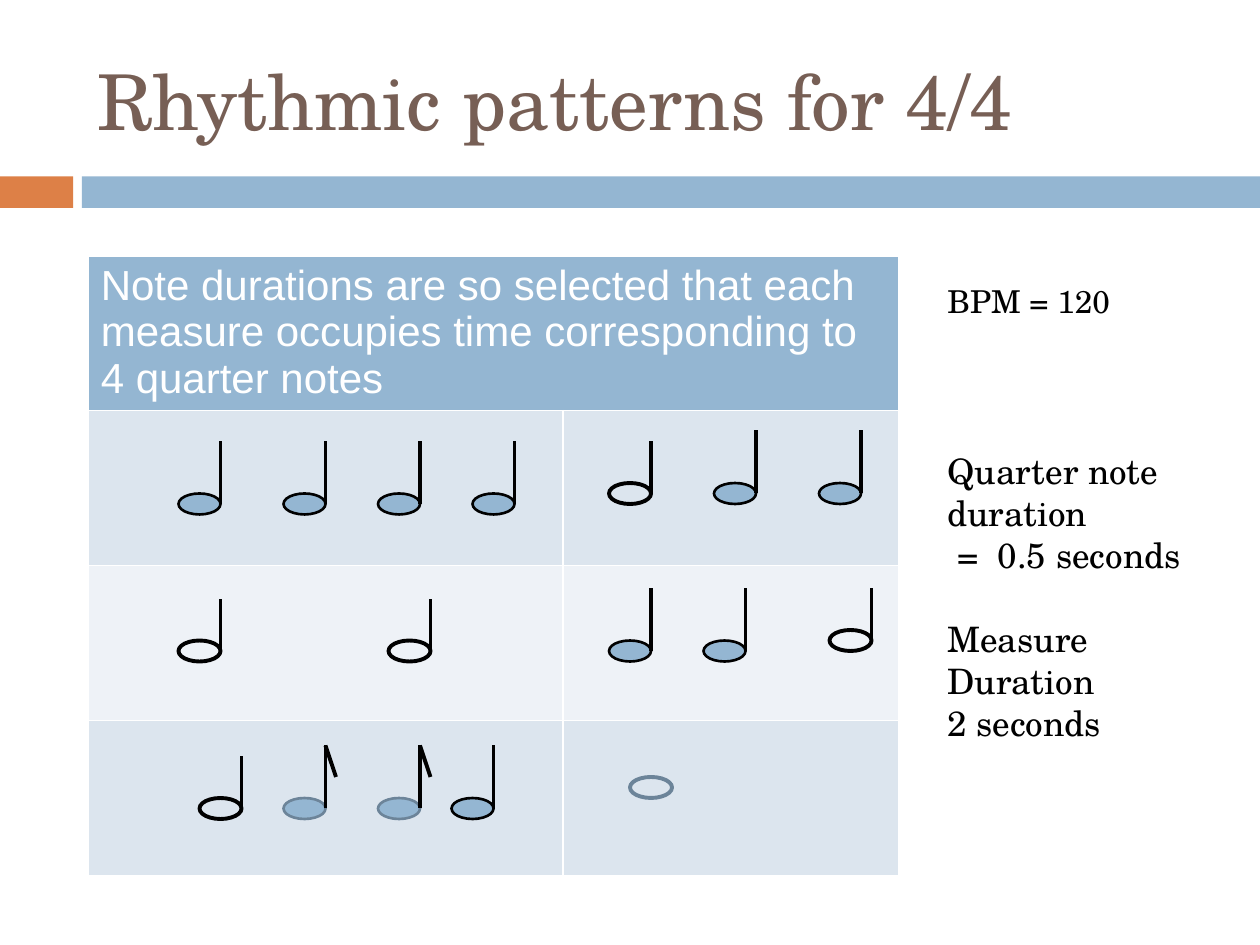
"""Build a slide of rhythmic patterns that fill a 4/4 measure."""
from lxml.etree import SubElement
from pptx import Presentation
from pptx.dml.color import RGBColor
from pptx.enum.shapes import MSO_CONNECTOR as Connector, MSO_SHAPE as Shape
from pptx.enum.text import MSO_ANCHOR as Anchor, PP_ALIGN as Align
from pptx.oxml.ns import qn
from pptx.util import Inches, Pt

SERIF = "TeX Gyre Schola"
BLUE, ORANGE, BROWN = "94B6D2", "DD8047", "775F55"
BLACK, WHITE, SLATE = "000000", "FFFFFF", "6C8499"
UNIT = Inches(1) // 12


def paint(color_format, color):
    """Give a fill, line or font the colour of a hex string."""
    if hasattr(color_format, "solid"):
        color_format.solid()
        color_format = color_format.fore_color
    else:
        color_format = color_format.color
    color_format.rgb = RGBColor.from_string(color)


def stroke(shapes, start, end):
    """Draw a black stroke between two points of the note grid."""
    line = shapes.add_connector(Connector.STRAIGHT, *(int(v * UNIT) for v in start + end))
    paint(line.line, BLACK)
    line.line.width = Pt(2.25)
    SubElement(line._element.spPr, qn("a:effectLst"))


deck = Presentation()
deck.slide_width, deck.slide_height = Inches(10), Inches(7.5)
slide = deck.slides.add_slide(deck.slide_layouts[5])

for left, width, color in [(0, 0.58, ORANGE), (0.65, 9.35, BLUE)]:
    band = slide.shapes.add_shape(Shape.RECTANGLE, Inches(left), Inches(1.4), Inches(width), Inches(0.25))
    band.shadow.inherit = False
    paint(band.fill, color)
    band.line.fill.background()

title = slide.shapes.title
title.left, title.top, title.width, title.height = map(Inches, (0.67, 0.25, 8.92, 1.08))
title.text_frame.text = "Rhythmic patterns for 4/4"
title.text_frame.vertical_anchor = Anchor.MIDDLE
heading = title.text_frame.paragraphs[0]
heading.alignment = Align.LEFT
heading.runs[0].font.name, heading.runs[0].font.size = SERIF, Pt(44)
paint(heading.runs[0].font, BROWN)

measures = slide.shapes.add_table(4, 2, Inches(0.7), Inches(2.03), Inches(6.43), Inches(4.92)).table
for column, width in zip(measures.columns, (3.77, 2.66)):
    column.width = Inches(width)
for row, color in zip(measures.rows, (BLUE, "DCE5EE", "EEF2F7", "DCE5EE")):
    row.height = Inches(1.23)
    for cell in row.cells:
        paint(cell.fill, color)
rule = measures.cell(0, 0)
rule.merge(measures.cell(0, 1))
rule.text_frame.text = "Note durations are so selected that each measure occupies time corresponding to 4 quarter notes"
rule_font = rule.text_frame.paragraphs[0].runs[0].font
rule_font.name, rule_font.size, rule_font.bold = "Arial", Pt(24), False
paint(rule_font, WHITE)

patterns = [
    [("quarter", 17, 47), ("quarter", 27, 47), ("quarter", 36, 47), ("quarter", 45, 47)],
    [("half", 58, 46), ("quarter", 68, 46), ("quarter", 78, 46)],
    [("half", 17, 61), ("half", 37, 61)],
    [("quarter", 58, 61), ("quarter", 67, 61), ("half", 79, 60)],
    [("half", 19, 76), ("eighth", 27, 76), ("eighth", 36, 76), ("quarter", 43, 76)],
    [("whole", 60, 74)],
]
stem_lengths = {"whole": 0, "half": 5, "quarter": 6, "eighth": 6}
for pattern in patterns:
    for kind, x, y in pattern:
        note = slide.shapes.add_group_shape().shapes
        head = note.add_shape(Shape.OVAL, x * UNIT, y * UNIT, 4 * UNIT, 2 * UNIT)
        head.shadow.inherit = False
        paint(head.line, SLATE if kind in ("whole", "eighth") else BLACK)
        if kind in ("whole", "half"):
            head.fill.background()
            head.line.width = Pt(2.25)
        else:
            paint(head.fill, BLUE)
            head.line.width = Pt(1.5)
        stem_top = y + 1 - stem_lengths[kind]
        if kind != "whole":
            stroke(note, (x + 4, y + 1), (x + 4, stem_top))
        if kind == "eighth":
            stroke(note, (x + 4, stem_top), (x + 5, stem_top + 3))

remarks = [
    (2.19, 2.11, 0.4, 18, ["BPM = 120"]),
    (3.52, 2.19, 2.12, 20,
     ["Quarter note duration", " =  0.5 seconds", "Measure Duration", "2 seconds"]),
]
for top, width, height, size, lines in remarks:
    remark = slide.shapes.add_textbox(Inches(7.42), Inches(top), Inches(width), Inches(height)).text_frame
    remark.word_wrap = True
    remark.text = "\n".join(lines)
    for paragraph in remark.paragraphs:
        if paragraph.text.startswith("Measure"):
            paragraph.space_before = Pt(24)
        font = paragraph.runs[0].font
        font.name, font.size = SERIF, Pt(size)
        paint(font, BLACK)

deck.save("out.pptx")
